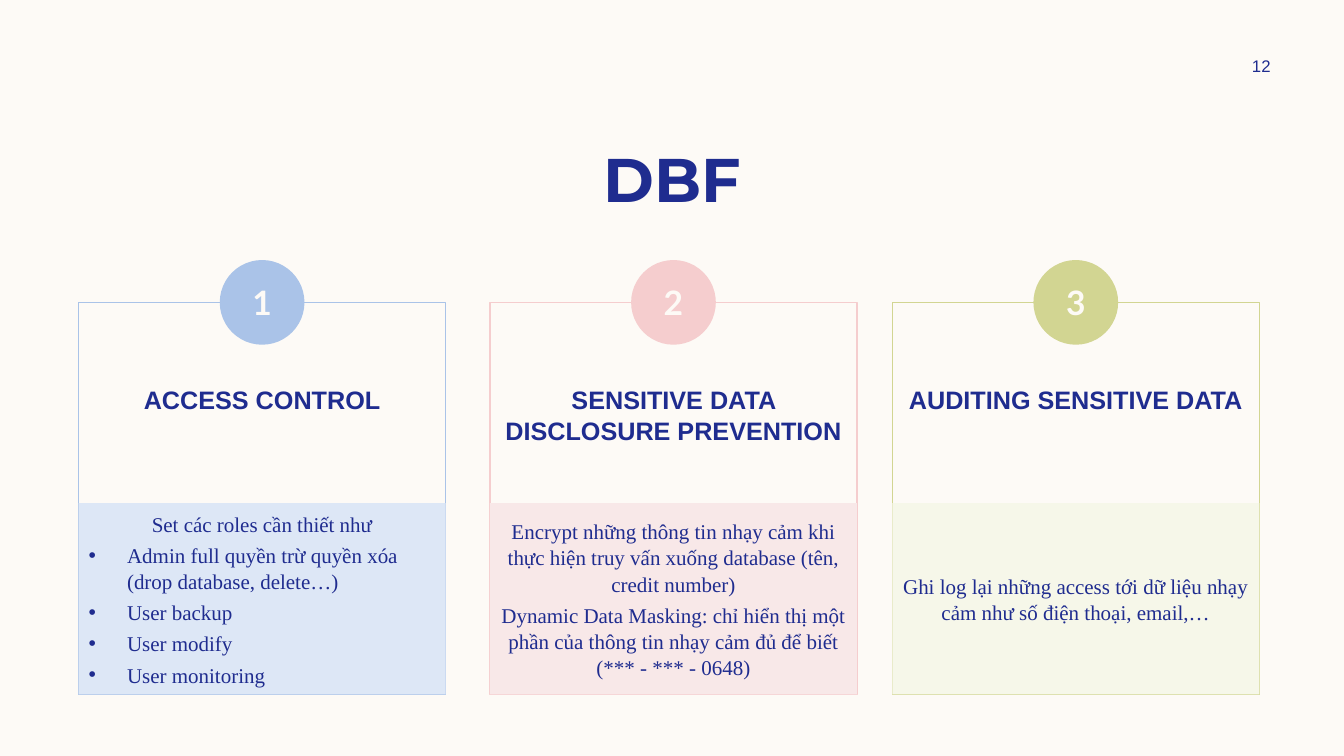
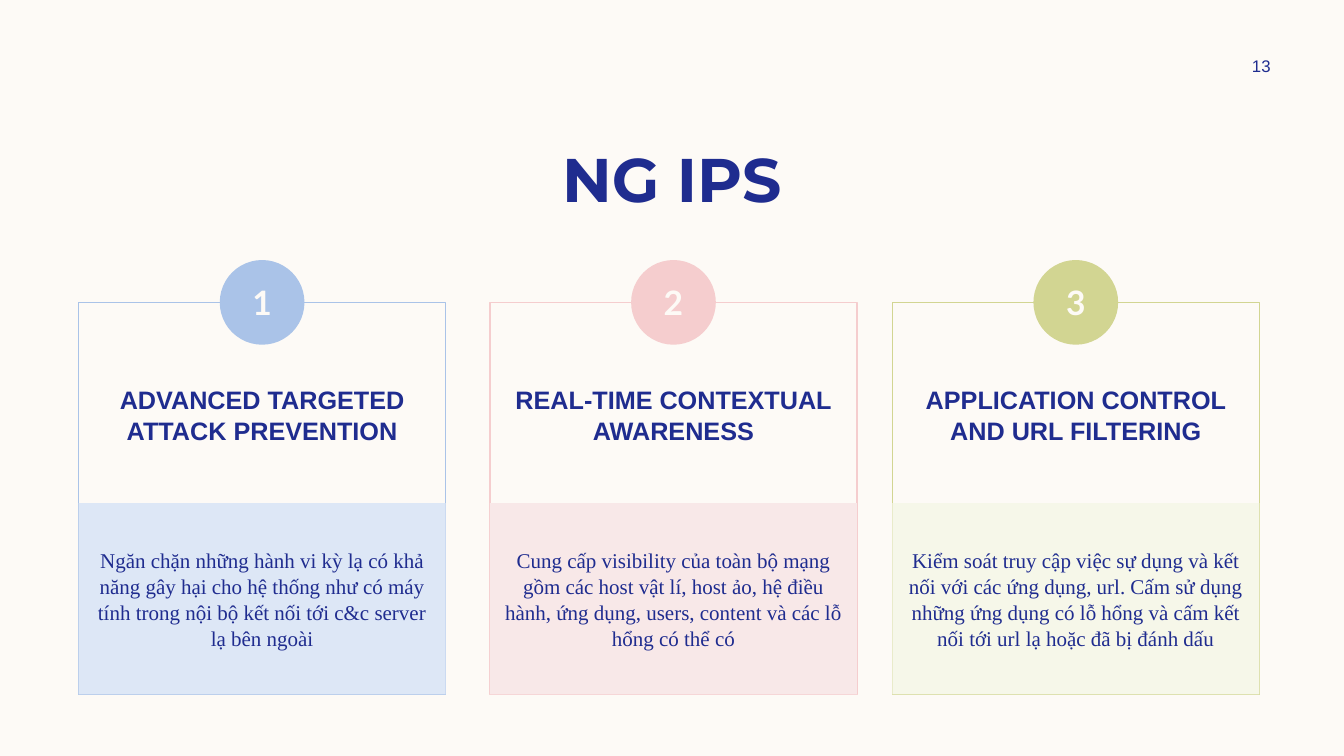
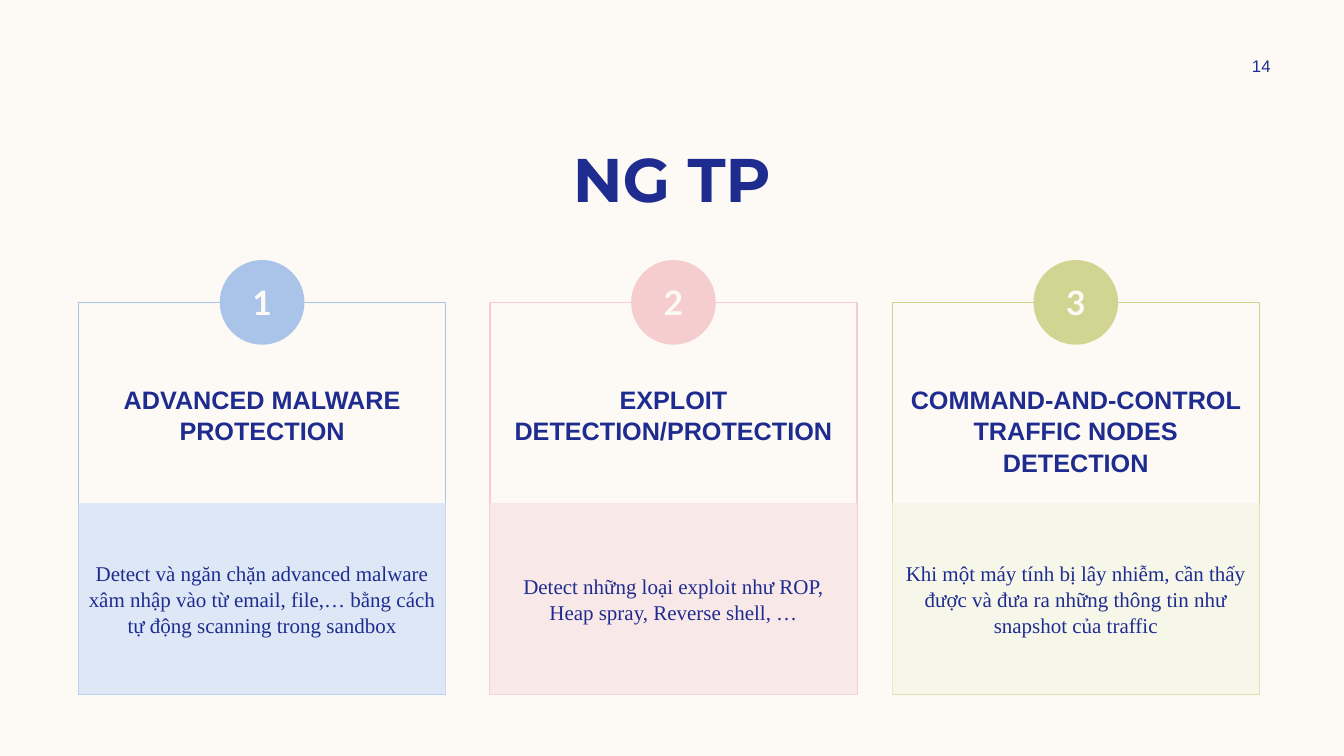
from lxml import etree
from pptx import Presentation
from pptx.dml.color import RGBColor
from pptx.enum import shapes, text
from pptx.oxml.ns import qn
from pptx.util import Inches, Pt

CREAM, NAVY = "FDFAF6", "1F2C8F"
WIDE, TOP, SIZE = 3.64, 3, 0.84
# left edge, strong colour, pale colour of each column
COLS = [
    (0.78, "AAC3E8", "DDE7F6"),
    (4.86, "F5CDCE", "F8E8E8"),
    (8.85, "D2D592", "F6F7E9"),
]

# title, then a heading, its paragraphs and its bullets for each column
DECK = [
    ("DBF", [
        ("ACCESS CONTROL", ["Set các roles cần thiết như"],
         ["Admin full quyền trừ quyền xóa (drop database, delete…)",
          "User backup", "User modify", "User monitoring"]),
        ("SENSITIVE DATA DISCLOSURE PREVENTION",
         ["Encrypt những thông tin nhạy cảm khi thực hiện truy vấn xuống "
          "database (tên, credit number)",
          "Dynamic Data Masking: chỉ hiển thị một phần của thông tin nhạy "
          "cảm đủ để biết (*** - *** - 0648)"], []),
        ("AUDITING SENSITIVE DATA",
         ["Ghi log lại những access tới dữ liệu nhạy cảm như số điện thoại, "
          "email,…"], []),
    ]),
    ("NG IPS", [
        ("ADVANCED TARGETED ATTACK PREVENTION",
         ["Ngăn chặn những hành vi kỳ lạ có khả năng gây hại cho hệ thống "
          "như có máy tính trong nội bộ kết nối tới c&c server lạ bên ngoài"],
         []),
        ("REAL-TIME CONTEXTUAL AWARENESS",
         ["Cung cấp visibility của toàn bộ mạng gồm các host vật lí, host ảo, "
          "hệ điều hành, ứng dụng, users, content và các lỗ hổng có thể có"],
         []),
        ("APPLICATION CONTROL AND URL FILTERING",
         ["Kiểm soát truy cập việc sự dụng và kết nối với các ứng dụng, url. "
          "Cấm sử dụng những ứng dụng có lỗ hổng và cấm kết nối tới url lạ "
          "hoặc đã bị đánh dấu"], []),
    ]),
    ("NG TP", [
        ("ADVANCED MALWARE PROTECTION",
         ["Detect và ngăn chặn advanced malware xâm nhập vào từ email, "
          "file,… bằng cách tự động scanning trong sandbox"], []),
        ("EXPLOIT DETECTION/PROTECTION",
         ["Detect những loại exploit như ROP, Heap spray, Reverse shell, …"],
         []),
        ("COMMAND-AND-CONTROL TRAFFIC NODES DETECTION",
         ["Khi một máy tính bị lây nhiễm, cần thấy được và đưa ra những "
          "thông tin như snapshot của traffic"], []),
    ]),
]


def paint(fill, color):
    fill.solid()
    fill.fore_color.rgb = RGBColor.from_string(color)


def place(shape, left, top, width, height):
    shape.left, shape.top = Inches(left), Inches(top)
    shape.width, shape.height = Inches(width), Inches(height)


def mark(para, char):
    """Set a hanging bullet, or none when char is empty."""
    props = para._p.get_or_add_pPr()
    hang = Inches(0.38) if char else 0
    props.set("marL", str(hang))
    props.set("indent", str(-hang))
    if char:
        etree.SubElement(props, qn("a:buChar"), char=char)
    else:
        etree.SubElement(props, qn("a:buNone"))


def put(shape, lines, items=(), font="Arial", size=18, color=NAVY, bold=False,
        anchor="MIDDLE", before=0, space=1, pad=(0.1, 0.05)):
    """Write centred lines, then bulleted items; pad is side and top."""
    frame = shape.text_frame
    frame.word_wrap = True
    frame.auto_size = text.MSO_AUTO_SIZE.NONE
    frame.vertical_anchor = text.MSO_ANCHOR[anchor]
    frame.margin_left = frame.margin_right = Inches(pad[0])
    frame.margin_top, frame.margin_bottom = Inches(pad[1]), Inches(0.05)
    rows = [(line, "") for line in lines] + [(item, "•") for item in items]
    for i, (line, char) in enumerate(rows):
        para = frame.add_paragraph() if i else frame.paragraphs[0]
        para.alignment = text.PP_ALIGN.LEFT if char else text.PP_ALIGN.CENTER
        para.space_before, para.line_spacing = Pt(before), space
        mark(para, char)
        run = para.add_run()
        run.text = line
        run.font.name, run.font.size, run.font.bold = font, Pt(size), bold
        run.font.color.rgb = RGBColor.from_string(color)


def draw(slide, kind, left, top, width, height, fill=None, line=None):
    shape = slide.shapes.add_shape(
        kind, Inches(left), Inches(top), Inches(width), Inches(height))
    shape.shadow.inherit = False
    if fill:
        paint(shape.fill, fill)
    else:
        shape.fill.background()
    if line:
        paint(shape.line.fill, line)
        shape.line.width = Pt(1)
    else:
        shape.line.fill.background()
    return shape


def card(slide, body, col, num, head, lines, items):
    """Draw a numbered, outlined card whose lower panel is the body."""
    left, strong, pale = col
    box = draw(slide, shapes.MSO_SHAPE.RECTANGLE, left, TOP, WIDE, 3.89,
               line=strong)
    put(box, [head], bold=True, anchor="TOP", space=1.04, pad=(0.15, 0.8))

    place(body, left, 4.99, WIDE, 1.9)
    paint(body.fill, pale)
    put(body, lines, items, font="Times New Roman", size=15, before=3.6,
        space=1.04)
    # the panel goes in front of the outline
    box.element.addnext(body.element)

    disc = draw(slide, shapes.MSO_SHAPE.OVAL, left + (WIDE - SIZE) / 2,
                TOP - SIZE / 2, SIZE, SIZE, fill=strong)
    put(disc, [str(num)], font="Lato", size=24, color=CREAM, bold=True)


def build(deck, layout, page, title, cards):
    slide = deck.slides.add_slide(layout)
    put(slide.shapes.title, [title], font="Montserrat", size=44, bold=True,
        anchor="TOP")
    label = slide.shapes.add_textbox(
        Inches(11.97), Inches(0.5), Inches(1.08), Inches(0.3))
    put(label, [str(page)], size=12)

    bodies = list(slide.placeholders)[1:]
    for num, (body, col, words) in enumerate(zip(bodies, COLS, cards), 1):
        card(slide, body, col, num, *words)
    for spare in bodies[len(cards):]:
        spare.element.getparent().remove(spare.element)


def main():
    deck = Presentation()
    deck.slide_width, deck.slide_height = Inches(13.33), Inches(7.5)
    paint(deck.slide_master.background.fill, CREAM)
    layout = deck.slide_layouts.get_by_name("Comparison")
    place(layout.placeholders[0], 0.83, 1.35, 11.67, 0.84)
    for page, (title, cards) in enumerate(DECK, 12):
        build(deck, layout, page, title, cards)
    deck.save("out.pptx")


if __name__ == "__main__":
    main()
